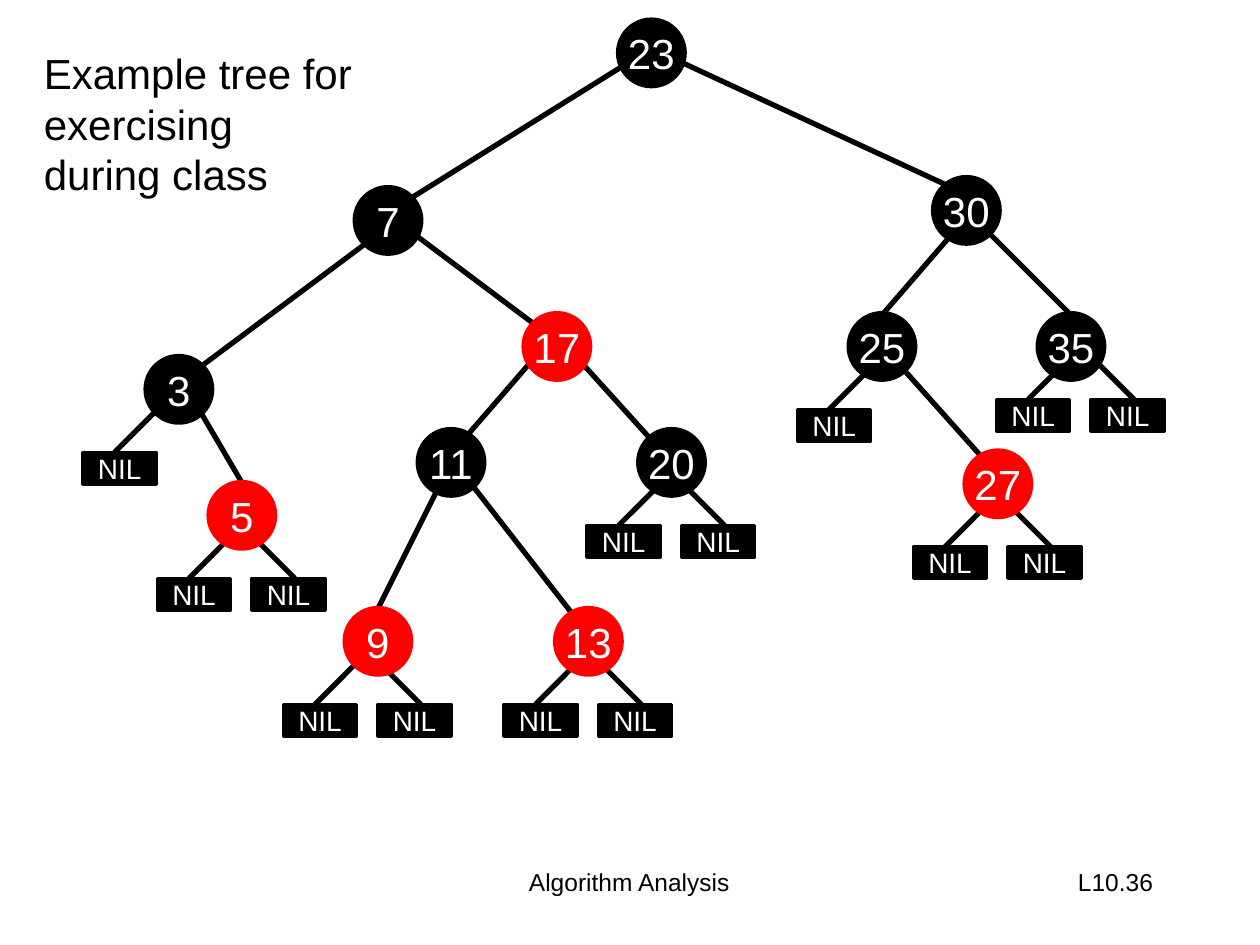
from lxml import etree
from pptx import Presentation
from pptx import util as u
from pptx.dml.color import RGBColor
from pptx.enum import shapes, text
from pptx.oxml.ns import qn

FONT = "Arial"
BLACK, RED, WHITE = "000000", "FF0000", "FFFFFF"
NODE_SIZE = 0.5
NIL_WIDTH, NIL_HEIGHT = 0.58, 0.25
NIL_REACH = 0.42
NIL_SIDES = {"left": (-1, -0.67), "right": (1, 0.08)}

NODES = [
    ("23", 4.92, 0.17, BLACK),
    ("7", 2.83, 1.5, BLACK),
    ("30", 7.42, 1.42, BLACK),
    ("3", 1.17, 2.84, BLACK),
    ("17", 4.17, 2.5, RED),
    ("25", 6.75, 2.5, BLACK),
    ("35", 8.25, 2.5, BLACK),
    ("5", 1.67, 3.84, RED),
    ("11", 3.33, 3.42, BLACK),
    ("20", 5.08, 3.42, BLACK),
    ("27", 7.67, 3.59, RED),
    ("9", 2.75, 4.84, RED),
    ("13", 4.42, 4.84, RED),
]
EDGES = [
    (5.03, 0.47, 3.25, 1.58),
    (5.42, 0.5, 7.58, 1.5),
    (2.92, 1.92, 1.58, 2.92),
    (3.25, 1.83, 4.25, 2.58),
    (7.58, 1.83, 7, 2.5),
    (7.83, 1.83, 8.5, 2.5),
    (1.58, 3.25, 1.92, 3.83),
    (4.25, 2.83, 3.67, 3.5),
    (4.5, 2.75, 5.25, 3.58),
    (7.08, 2.83, 7.83, 3.67),
    (3.5, 3.83, 3, 4.83),
    (3.67, 3.75, 4.58, 4.92),
]
BOTH = ("left", "right")
NIL_PARENTS = [
    (1.33, 3.17, ("left",)),
    (1.92, 4.17, BOTH),
    (2.92, 5.17, BOTH),
    (4.67, 5.17, BOTH),
    (5.33, 3.75, BOTH),
    (7, 2.83, ("left",)),
    (7.92, 3.92, BOTH),
    (8.58, 2.75, BOTH),
]


def color(value):
    return RGBColor.from_string(value)


def format_text(frame, size, fill, align):
    for para in frame.paragraphs:
        para.alignment = align
        for span in para.runs:
            span.font.name = FONT
            span.font.size = u.Pt(size)
            span.font.color.rgb = color(fill)


def add_label(page, box, words, size, align):
    label = page.shapes.add_textbox(*map(u.Inches, box))
    label.text_frame.word_wrap = True
    label.text_frame.text = words
    format_text(label.text_frame, size, BLACK, align)


def add_line(page, x1, y1, x2, y2):
    line = page.shapes.add_connector(
        shapes.MSO_CONNECTOR.STRAIGHT, *map(u.Inches, (x1, y1, x2, y2)))
    line.line.color.rgb = color(BLACK)
    line.line.width = u.Pt(3)
    etree.SubElement(line._element.spPr, qn("a:effectLst"))


def add_filled(page, kind, box, words, size, fill, border):
    shape = page.shapes.add_shape(kind, *map(u.Inches, box))
    shape.shadow.inherit = False
    shape.fill.solid()
    shape.fill.fore_color.rgb = color(fill)
    shape.line.color.rgb = color(fill)
    shape.line.width = u.Pt(border)
    frame = shape.text_frame
    frame.margin_left = frame.margin_right = 0
    frame.margin_top = frame.margin_bottom = 0
    frame.word_wrap = False
    frame.vertical_anchor = text.MSO_ANCHOR.MIDDLE
    frame.text = words
    format_text(frame, size, WHITE, text.PP_ALIGN.CENTER)


def draw_nil(page, x, y, side):
    direction, offset = NIL_SIDES[side]
    bottom = y + NIL_REACH
    add_line(page, x, y, x + direction * NIL_REACH, bottom)
    add_filled(page, shapes.MSO_SHAPE.RECTANGLE,
               (x + offset, bottom, NIL_WIDTH, NIL_HEIGHT), "NIL", 16, BLACK, 2)


def draw_tree(page, left, top):
    for x, y, sides in NIL_PARENTS:
        for side in sides:
            draw_nil(page, left + x, top + y, side)
    for x1, y1, x2, y2 in EDGES:
        add_line(page, left + x1, top + y1, left + x2, top + y2)
    for key, x, y, fill in NODES:
        add_filled(page, shapes.MSO_SHAPE.OVAL,
                   (left + x, top + y, NODE_SIZE, NODE_SIZE), key, 24, fill, 4.5)


def draw_footer(page, left, top):
    add_label(page, (left, top, 3.83, 0.5), "Algorithm Analysis", 14, text.PP_ALIGN.CENTER)
    add_label(page, (left + 4.09, top, 2.08, 0.5), "L10.36", 14, text.PP_ALIGN.RIGHT)


def main():
    deck = Presentation()
    deck.slide_width, deck.slide_height = u.Inches(10), u.Inches(7.5)
    page = deck.slides.add_slide(deck.slide_layouts[6])
    draw_tree(page, 0, 0)
    draw_footer(page, 3.08, 6.83)
    add_label(page, (0.25, 0.33, 2.83, 1.31),
              "Example tree for exercising\nduring class", 24, text.PP_ALIGN.LEFT)
    deck.save("out.pptx")


if __name__ == "__main__":
    main()
